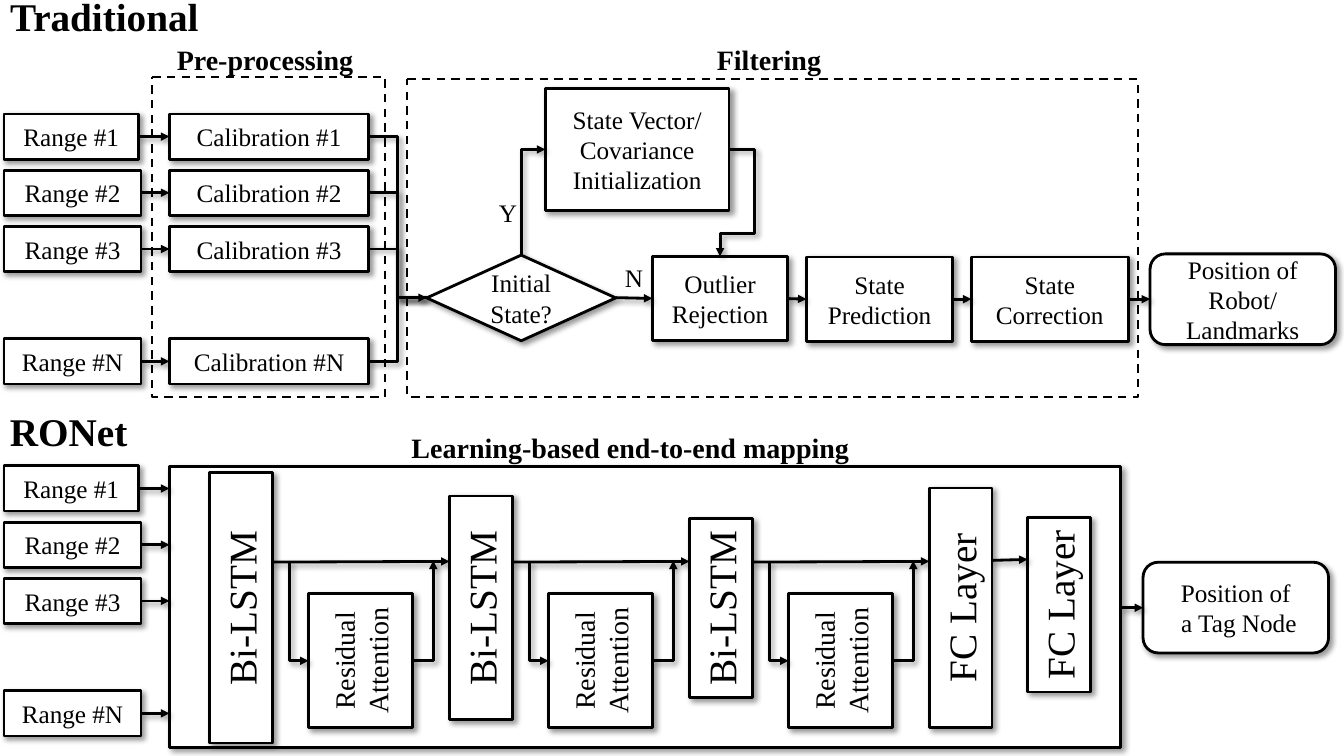
from dataclasses import dataclass

import pptx
import pptx.dml.color
import pptx.enum.dml
import pptx.enum.shapes
import pptx.enum.text
import pptx.oxml
import pptx.oxml.ns
import pptx.util

COLOURS = {"ink": "000000", "paper": "FFFFFF"}
FONT = "Times New Roman"
Pt = pptx.util.Pt
Kind = pptx.enum.shapes.MSO_SHAPE
Line = pptx.enum.shapes.MSO_CONNECTOR
Align = pptx.enum.text.PP_ALIGN
Anchor = pptx.enum.text.MSO_ANCHOR
NAMESPACE = pptx.oxml.ns.nsdecls("a")


@dataclass
class Box:
    text: str
    left: float
    top: float
    width: float
    height: float
    kind: int = Kind.RECTANGLE
    size: float = 18
    rotation: float = 0
    dashed: bool = False


@dataclass
class Label:
    text: str
    left: float
    top: float
    width: float
    height: float
    size: float = 20
    bold: bool = True
    align: int = Align.CENTER


@dataclass
class Arrow:
    x1: float
    y1: float
    x2: float
    y2: float
    preset: str = "line"
    head: bool = True
    vertical_first: bool = False
    adjust: tuple = ()


def colour(name: str):
    return pptx.dml.color.RGBColor.from_string(COLOURS[name])


def write_text(frame, text: str, *, size: float = 18, bold: bool = False,
               align=Align.CENTER, anchor=Anchor.MIDDLE) -> None:
    frame.word_wrap = True
    frame.vertical_anchor = anchor
    for number, words in enumerate(text.split("\n")):
        para = frame.add_paragraph() if number else frame.paragraphs[0]
        para.alignment = align
        span = para.add_run()
        span.text = words
        span.font.name = FONT
        span.font.size = Pt(size)
        span.font.bold = bold
        span.font.color.rgb = colour("ink")


def add_shadow(item) -> None:
    item._element.spPr.append(pptx.oxml.parse_xml(
        f'<a:effectLst {NAMESPACE}><a:outerShdw blurRad="{Pt(4)}" dist="{Pt(3)}" dir="2700000" '
        f'algn="tl" rotWithShape="0"><a:srgbClr val="{COLOURS["ink"]}"><a:alpha val="40000"/>'
        '</a:srgbClr></a:outerShdw></a:effectLst>'))


def draw_box(page, box: Box) -> None:
    shape = page.shapes.add_shape(box.kind, Pt(box.left), Pt(box.top), Pt(box.width), Pt(box.height))
    shape.rotation = box.rotation
    shape.line.color.rgb = colour("ink")
    shape.line.width = Pt(1.5 if box.dashed else 2)
    if box.dashed:
        shape.fill.background()
        shape.line.dash_style = pptx.enum.dml.MSO_LINE.DASH
        shape.shadow.inherit = False
    else:
        shape.fill.solid()
        shape.fill.fore_color.rgb = colour("paper")
        add_shadow(shape)
    if box.text:
        write_text(shape.text_frame, box.text, size=box.size)


def draw_label(page, label: Label) -> None:
    box = page.shapes.add_textbox(Pt(label.left), Pt(label.top), Pt(label.width), Pt(label.height))
    write_text(box.text_frame, label.text, size=label.size, bold=label.bold,
               align=label.align, anchor=Anchor.TOP)


def draw_arrow(page, arrow: Arrow) -> None:
    x1, y1, x2, y2 = arrow.x1, arrow.y1, arrow.x2, arrow.y2
    if arrow.vertical_first:
        # A quarter turn swaps the sides of the frame around its centre
        middle_x, middle_y = (x1 + x2) / 2, (y1 + y2) / 2
        half_w, half_h = abs(y2 - y1) / 2, abs(x2 - x1) / 2
        x1, x2 = middle_x - half_w, middle_x + half_w
        y1, y2 = middle_y - half_h, middle_y + half_h
    style = Line.STRAIGHT if arrow.preset == "line" else Line.ELBOW
    connector = page.shapes.add_connector(style, Pt(x1), Pt(y1), Pt(x2), Pt(y2))
    properties = connector._element.spPr
    geometry = properties.find(pptx.oxml.ns.qn("a:prstGeom"))
    geometry.set("prst", arrow.preset)
    if arrow.adjust:
        guides = "".join(f'<a:gd name="adj{n}" fmla="val {round(value * 100000)}"/>'
                         for n, value in enumerate(arrow.adjust, 1))
        for child in list(geometry):
            geometry.remove(child)
        geometry.append(pptx.oxml.parse_xml(f"<a:avLst {NAMESPACE}>{guides}</a:avLst>"))
    if arrow.vertical_first:
        frame = properties.find(pptx.oxml.ns.qn("a:xfrm"))
        frame.set("rot", "16200000")
        frame.set("flipH", "1" if arrow.y2 > arrow.y1 else "0")
    connector.line.color.rgb = colour("ink")
    connector.line.width = Pt(2)
    if arrow.head:
        connector.line._get_or_add_ln().append(
            pptx.oxml.parse_xml(f'<a:tailEnd {NAMESPACE} type="triangle"/>'))
    add_shadow(connector)


def upright(text: str, middle_x: float, middle_y: float, length: float,
            thickness: float, size: float = 28) -> Box:
    return Box(text, middle_x - length / 2, middle_y - thickness / 2, length, thickness,
               size=size, rotation=270)


ROWS = {"1": 0, "2": 1, "3": 2, "N": 4}
ROW_PITCH, ROW_HEIGHT, CALIBRATION_LEFT, CALIBRATION_RIGHT = 40.15, 32.3, 121, 263.5


def draw_ranges(page, first_top: float) -> list[float]:
    """Draw the range inputs with their arrows; return the row middles."""
    middles = []
    for name, row in ROWS.items():
        top, width = first_top + row * ROW_PITCH, 96 if row == 0 else 97.9
        middles.append(top + ROW_HEIGHT / 2)
        draw_box(page, Box(f"Range #{name}", 2.9, top, width, ROW_HEIGHT))
        draw_arrow(page, Arrow(2.9 + width, middles[-1], CALIBRATION_LEFT, middles[-1]))
    return middles


def draw_traditional(page) -> None:
    # Inputs and calibration
    for name, middle in zip(ROWS, draw_ranges(page, 81.4)):
        draw_box(page, Box(f"Calibration #{name}", CALIBRATION_LEFT, middle - ROW_HEIGHT / 2,
                           CALIBRATION_RIGHT - CALIBRATION_LEFT, ROW_HEIGHT))
        draw_arrow(page, Arrow(CALIBRATION_RIGHT, middle, 304.8, 212.7, "bentConnector3", name == "1"))
    # Filtering steps
    process = Kind.FLOWCHART_PROCESS
    for box in (
        Box("Initial\nState?", 304.8, 182.2, 135, 61.2, Kind.FLOWCHART_DECISION),
        Box("State Vector/\nCovariance\nInitialization", 389.5, 63.2, 131.3, 87.1, process),
        Box("Outlier\nRejection", 466, 183.2, 96.7, 60.2, process),
        Box("State\nPrediction", 576, 183.6, 104.6, 60.2, process),
        Box("State\nCorrection", 693.9, 183.6, 112, 60.2, process),
        Box("Position of Robot/\nLandmarks", 821.5, 181.4, 132.5, 64.8,
            Kind.FLOWCHART_ALTERNATE_PROCESS),
        Box("", 290.9, 56.6, 522, 226.8, process, dashed=True),
        Box("", 108.7, 54.7, 166.3, 228.9, process, dashed=True),
    ):
        draw_box(page, box)
    for arrow in (
        Arrow(372.3, 182.2, 389.5, 106.7, "bentConnector2", vertical_first=True),
        Arrow(520.8, 106.7, 514.4, 183.2, "bentConnector4", adjust=(-2.8, 0.785)),
        Arrow(439.8, 212.6, 466, 213.2),
        Arrow(562.7, 213.3, 576, 213.7),
        Arrow(680.6, 213.7, 693.9, 213.7),
        Arrow(805.9, 213.7, 821.5, 213.7),
    ):
        draw_arrow(page, arrow)


def draw_network(page) -> None:
    draw_box(page, Box("", CALIBRATION_LEFT, 333.2, 679.7, 201))
    draw_ranges(page, 332.8)
    draw_box(page, Box("Position of\n a Tag Node", 816.5, 401.6, 132.5, 64.8,
                       Kind.FLOWCHART_ALTERNATE_PROCESS))
    draw_arrow(page, Arrow(800.7, 434.1, 816.5, 434.1))
    # Recurrent stages, each with a residual detour
    pitch, half, flow = 171.4, 22.4, 401
    for stage, length in enumerate((193, 160, 127.5)):
        middle = 172.1 + stage * pitch
        attention = middle + 85.4
        draw_box(page, upright("Bi-LSTM", middle, 434.2, length, 2 * half))
        draw_box(page, upright("Residual Attention", attention, 472, 95.8, 74.2, 20))
        draw_arrow(page, Arrow(middle + half, flow + 0.5, middle + pitch - half, flow))
        draw_arrow(page, Arrow(middle + 34.6, flow, attention - 37.1, 472,
                               "bentConnector2", vertical_first=True))
        draw_arrow(page, Arrow(attention + 37.1, 472, attention + 52, flow - 0.5, "bentConnector2"))
    # Fully connected layers
    for middle, middle_y, length in ((686.2, 434.2, 171.4), (756.4, 432, 124.6)):
        draw_box(page, upright("FC Layer", middle, middle_y, length, 2 * half))
    draw_arrow(page, Arrow(708.6, 400.3, 734, 399.6))


def main() -> None:
    deck = pptx.Presentation()
    deck.slide_width, deck.slide_height = Pt(960), Pt(540)
    page = deck.slides.add_slide(deck.slide_layouts[5])
    # Heading
    title = page.shapes.title
    title.left, title.top, title.width, title.height = Pt(0), Pt(-9.4), Pt(349.2), Pt(41)
    write_text(title.text_frame, "Traditional", size=28, bold=True, align=Align.LEFT, anchor=Anchor.TOP)
    title.text_frame.auto_size = pptx.enum.text.MSO_AUTO_SIZE.NONE
    # Diagrams
    draw_traditional(page)
    draw_network(page)
    # Captions
    for label in (
        Label("RONet", 0, 287.3, 349.2, 41, 28, align=Align.LEFT),
        Label("Pre-processing", 64.8, 26.6, 249.1, 31.7),
        Label("Filtering", 475.2, 26.6, 148.3, 31.7),
        Label("Learning-based end-to-end mapping", 272.9, 303.8, 355, 31.7),
        Label("Y", 349.2, 137.5, 24.5, 28.8, 18, False),
        Label("N", 439.2, 183.6, 24.5, 28.8, 18, False),
    ):
        draw_label(page, label)
    deck.save("out.pptx")


if __name__ == "__main__":
    main()
